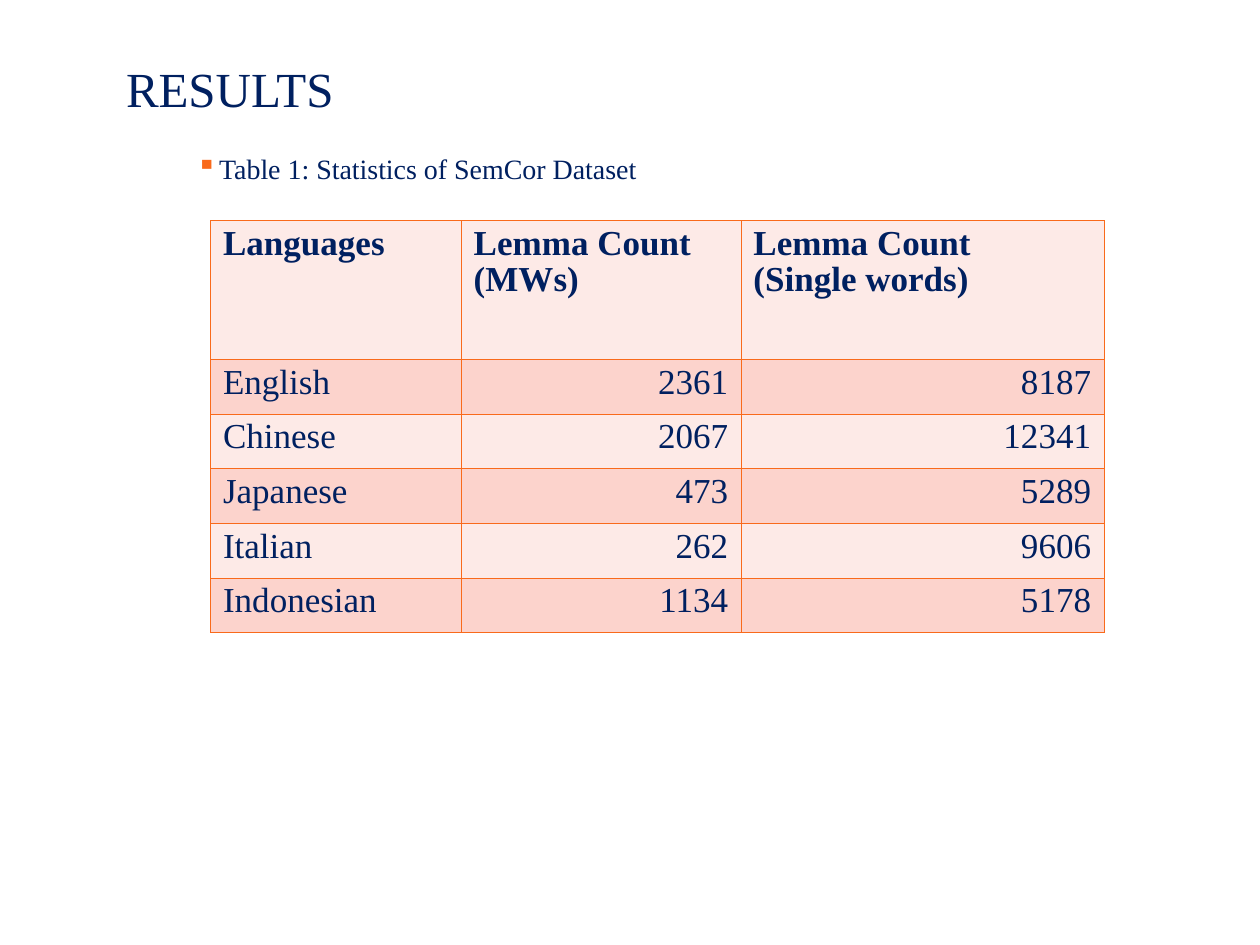
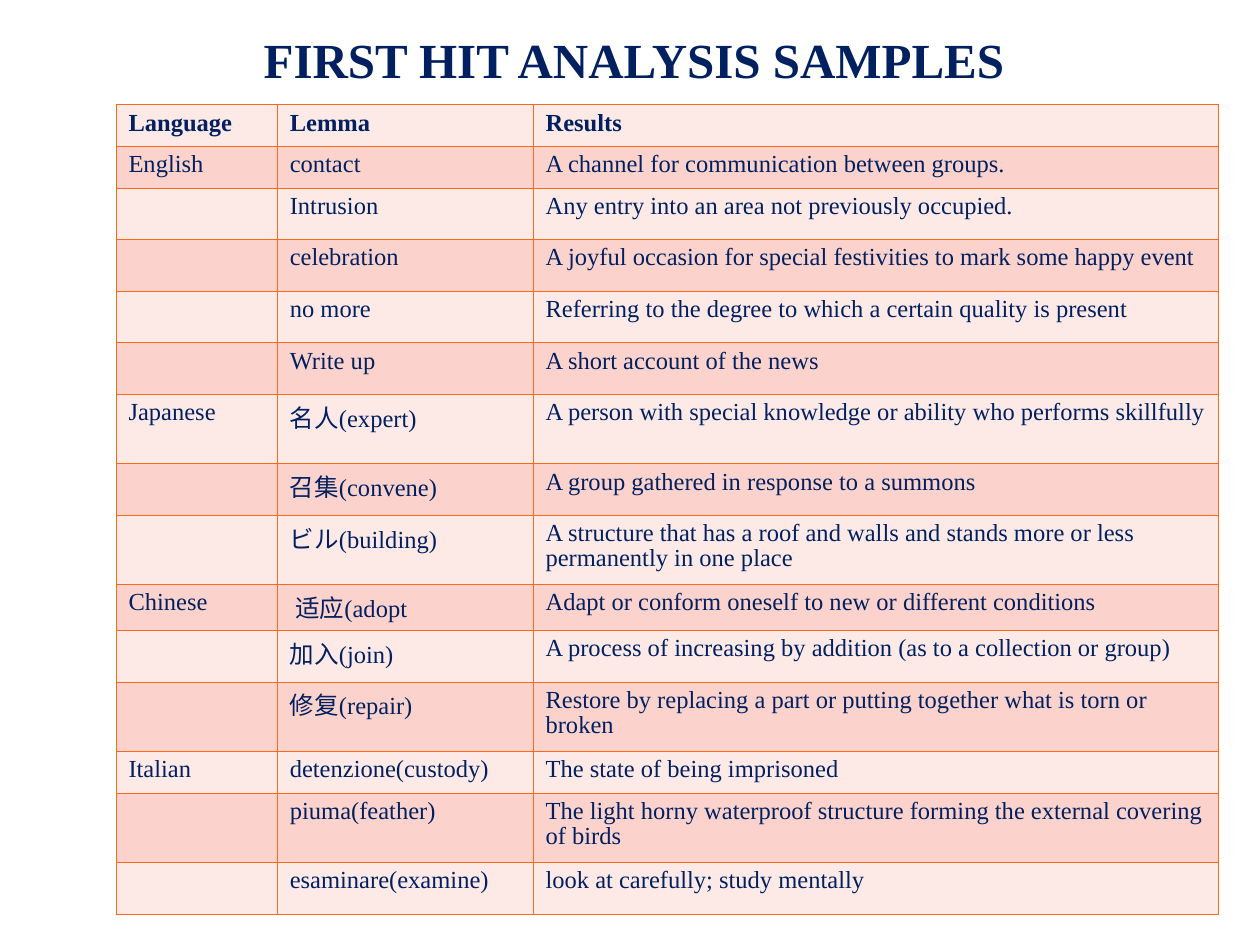
"""Build two slides of results, each a title over a banded table."""
from lxml import etree
from pptx import Presentation
from pptx import util as u
from pptx.dml.color import RGBColor
from pptx.enum import text
from pptx.oxml import ns

HUE = {"ink": "002060", "line": "F96A1B", "light": "FDEAE7", "dark": "FCD3CC"}
FACE = "Times New Roman"
WIDE, HIGH = 10, 7.5
LEFT, RIGHT = text.PP_ALIGN.LEFT, text.PP_ALIGN.RIGHT
MID = text.PP_ALIGN.CENTER
SHORT, PLAIN, TALL = 0.33, 0.41, 0.55

NOTE = "Table 1: Statistics of SemCor Dataset"
COUNTS = [
    ("Languages", "Lemma Count (MWs)", "Lemma Count\n(Single words)"),
    ("English", "2361", "8187"),
    ("Chinese", "2067", "12341"),
    ("Japanese", "473", "5289"),
    ("Italian", "262", "9606"),
    ("Indonesian", "1134", "5178"),
]
HITS = [
    (SHORT, "Language", "Lemma", "Results"),
    (SHORT, "English", "contact", "A channel for communication between groups."),
    (PLAIN, "", "Intrusion", "Any entry into an area not previously occupied."),
    (PLAIN, "", "celebration",
     "A joyful occasion for special festivities to mark some happy event"),
    (PLAIN, "", "no more",
     "Referring to the degree to which a certain quality is present"),
    (PLAIN, "", "Write up", "A short account of the news"),
    (TALL, "Japanese", "名人(expert)",
     "A person with special knowledge or ability who performs skillfully"),
    (PLAIN, "", "召集(convene)", "A group gathered in response to a summons"),
    (TALL, "", "ビル(building)",
     "A structure that has a roof and walls and stands more or less "
     "permanently in one place"),
    (SHORT, "Chinese", " 适应(adopt",
     "Adapt or conform oneself to new or different conditions"),
    (PLAIN, "", "加入(join)",
     "A process of increasing by addition (as to a collection or group)"),
    (TALL, "", "修复(repair)",
     "Restore by replacing a part or putting together what is torn or broken"),
    (SHORT, "Italian", "detenzione(custody)", "The state of being imprisoned"),
    (TALL, "", "piuma(feather)",
     "The light horny waterproof structure forming the external covering of birds"),
    (PLAIN, "", "esaminare(examine)", "look at carefully; study mentally"),
]


def style(par, size, bold=False, side=LEFT):
    par.alignment = side
    for run in par.runs:
        run.font.size, run.font.bold, run.font.name = u.Pt(size), bold, FACE
        run.font.color.rgb = RGBColor.from_string(HUE["ink"])


def place(shape, *box):
    shape.left, shape.top, shape.width, shape.height = map(u.Inches, box)


def add_slide(deck, head, box, bold=False, side=LEFT):
    slide = deck.slides.add_slide(deck.slide_layouts[5])
    title = slide.shapes.title
    place(title, *box)
    frame = title.text_frame
    frame.text = head
    frame.auto_size = text.MSO_AUTO_SIZE.NONE
    frame.vertical_anchor = text.MSO_ANCHOR.MIDDLE
    style(frame.paragraphs[0], 28, bold, side)
    return slide


def edge(cell):
    props = cell._tc.get_or_add_tcPr()
    for tag in ("a:lnL", "a:lnR", "a:lnT", "a:lnB"):
        line = etree.SubElement(props, ns.qn(tag), w=str(u.Pt(0.23)))
        fill = etree.SubElement(line, ns.qn("a:solidFill"))
        etree.SubElement(fill, ns.qn("a:srgbClr"), val=HUE["line"])


def add_grid(slide, data, left, top, cols, rows, size):
    box = map(u.Inches, (left, top, sum(cols), sum(rows)))
    grid = slide.shapes.add_table(len(rows), len(cols), *box).table
    grid.first_row = grid.horz_banding = False
    for col, width in zip(grid.columns, cols):
        col.width = u.Inches(width)
    for i, (row, high, words) in enumerate(zip(grid.rows, rows, data)):
        row.height = u.Inches(high)
        for cell, word in zip(row.cells, words):
            edge(cell)
            cell.fill.solid()
            tone = HUE["dark" if i % 2 else "light"]
            cell.fill.fore_color.rgb = RGBColor.from_string(tone)
            cell.text_frame.text = word
            for par in cell.text_frame.paragraphs:
                par.line_spacing = 0.93
                style(par, size, i == 0, RIGHT if word.isdigit() else LEFT)


def add_note(slide, word, *box):
    note = slide.shapes.add_textbox(*map(u.Inches, box))
    note.text_frame.word_wrap = True
    par = note.text_frame.paragraphs[0]
    par.text, par.level = word, 2
    style(par, 16)
    props = par._p.get_or_add_pPr()
    props.set("marL", str(u.Inches(0.69)))
    props.set("indent", str(u.Inches(-0.18)))
    tint = etree.SubElement(props, ns.qn("a:buClr"))
    etree.SubElement(tint, ns.qn("a:srgbClr"), val=HUE["line"])
    etree.SubElement(props, ns.qn("a:buChar"), char="▪")


def main():
    deck = Presentation()
    deck.slide_width, deck.slide_height = u.Inches(WIDE), u.Inches(HIGH)

    stats = add_slide(deck, "RESULTS", (0.9, 0.4, 8.23, 0.6))
    rows = [1.1] + [0.434] * (len(COUNTS) - 1)
    add_grid(stats, COUNTS, 1.67, 1.75, (1.99, 2.22, 2.88), rows, 20)
    add_note(stats, NOTE, 0.95, 1.15, 8.61, 0.41)

    hits = add_slide(deck, "FIRST HIT ANALYSIS SAMPLES",
                     (0.92, 0.17, 8.22, 0.6), True, MID)
    rows = [row[0] for row in HITS]
    words = [row[1:] for row in HITS]
    add_grid(hits, words, 0.92, 0.83, (1.28, 2.03, 5.44), rows, 14)

    deck.save("out.pptx")


if __name__ == "__main__":
    main()
